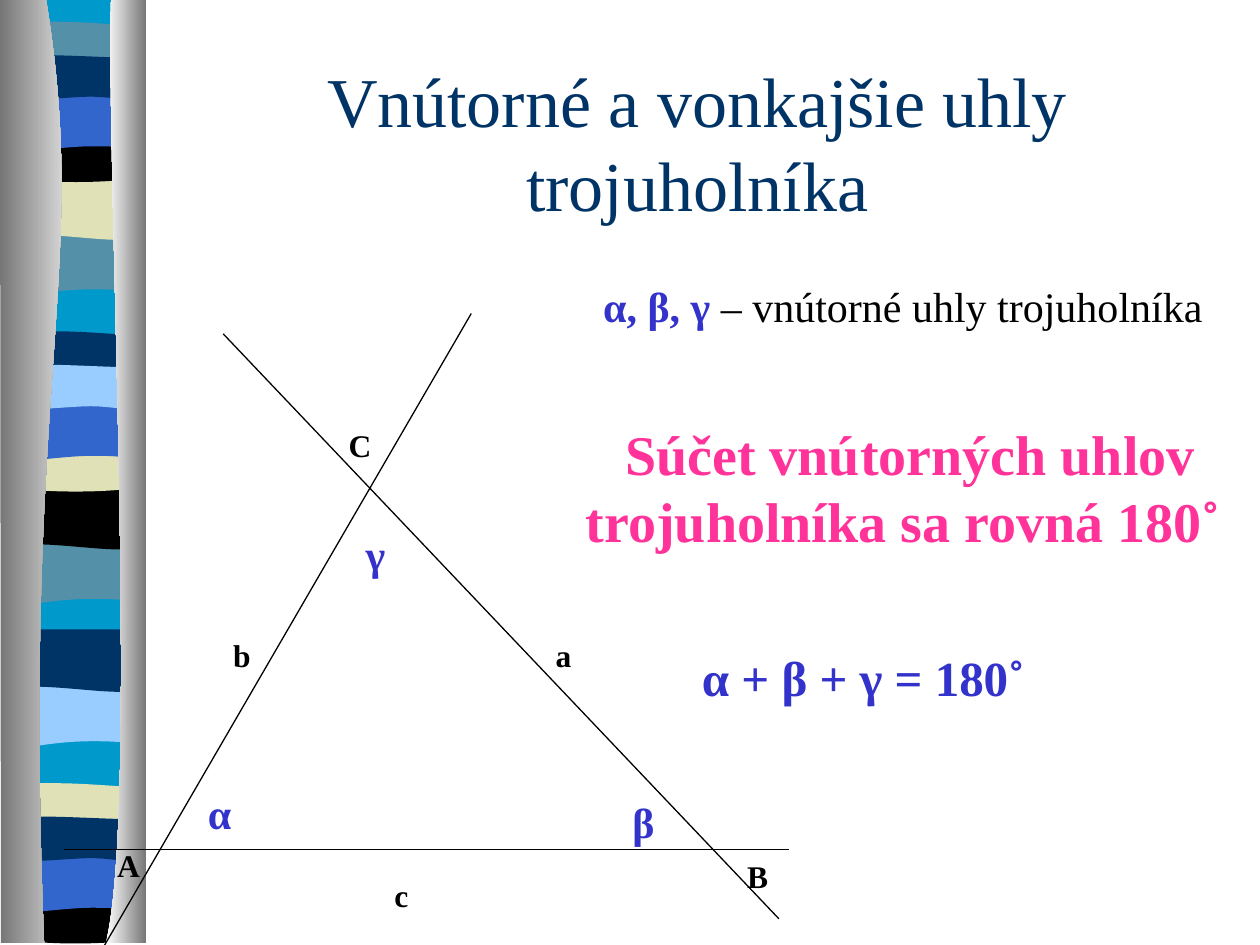
from lxml import etree
from pptx import Presentation
from pptx import util as u
from pptx.dml.color import RGBColor
from pptx.enum import shapes, text
from pptx.oxml.ns import qn

FONT = "Times New Roman"
COLORS = {
    "black": "000000", "navy": "003366", "teal": "5490A8", "sand": "E1E1B7",
    "blue": "3366CC", "sky": "99CCFF", "cyan": "0099CC", "angle": "3333CC",
    "pink": "FF3399", "gray": "767676", "white": "FFFFFF",
}

# Ribbon bands in cm: y of the first use, then the outline from that height:
# a pair is a corner, six numbers are a cubic curve.
LEFT, RIGHT = 0.15, 2.9
BANDS = {
    "long wave": (4.7, [(RIGHT, 0), (RIGHT, 1.19),
                        (0.99, 0.99, 0.61, 1.4, LEFT, 1.19), (LEFT, 0)]),
    "soft wave": (3.58, [(RIGHT, 0), (RIGHT, 1.19),
                         (2.44, 1.4, 0.99, 1.04, LEFT, 1.19), (LEFT, 0)]),
    "thin": (0.41, [(RIGHT, 0.13), (RIGHT, 0.74),
                    (2.44, 0.84, 0.61, 0.84, LEFT, 0.74), (LEFT, 0.13),
                    (0.3, 0, 0.74, 0.03, 1.19, 0.03),
                    (1.65, 0.03, 2.54, 0.1, RIGHT, 0.13)]),
    "bowl": (2.74, [(RIGHT, 0), (RIGHT, 0.81),
                    (2.44, 0.97, 0.61, 0.97, LEFT, 0.81), (LEFT, 0),
                    (1.83, 0.13, 2.31, 0, RIGHT, 0)]),
    "arch": (1.88, [(RIGHT, 0), (RIGHT, 1.19),
                    (2.46, 1.07, 2.29, 1.07, 1.83, 1.07),
                    (1.37, 1.07, 0.56, 1.19, LEFT, 1.19), (LEFT, 0)]),
    "double wave": (1.04, [(RIGHT, 0.13), (RIGHT, 0.91),
                           (2.72, 1.04, 2.29, 0.91, 1.83, 0.91),
                           (1.37, 0.91, 0.43, 1.04, LEFT, 0.91), (LEFT, 0.13),
                           (0.53, 0, 2.01, 0.13, RIGHT, 0.13)]),
}
# Each repeat of the motif: shift down, colour of each band
REPEATS = [
    (0, {"long wave": "teal", "soft wave": "sand", "thin": "teal",
         "bowl": "black", "arch": "blue", "double wave": "navy"}),
    (6.24, {"long wave": "teal", "soft wave": "black", "thin": "navy",
            "bowl": "sand", "arch": "blue", "double wave": "sky"}),
    (9.11, {"long wave": "sky", "soft wave": "navy"}),
    (15.35, {"thin": "sand", "bowl": "black", "arch": "blue", "double wave": "navy"}),
]
BOTTOM = 19.02
BACKDROP = [(RIGHT, 0), (RIGHT, 18.97), (LEFT, 18.97), (LEFT, 0)]
LEFT_COLUMN = [(0.93, 0), (1.83, 5.49, 0.43, 7.52, 0.89, BOTTOM), (0.02, BOTTOM), (0, 0)]
RIGHT_COLUMN = [(2.24, 0), (2.13, 3.18, 2.82, 16.41, 2.13, BOTTOM),
                (2.95, BOTTOM), (2.95, 0)]

TRIANGLE_LINES = [
    (1.3, 17.12, 15.9, 17.12),
    (9.5, 6.32, 2.11, 19.05),
    (4.5, 6.73, 15.7, 18.52),
]

# Runs (wording, colour, bold), size, left, top, width, height, centred
TITLE = ([("Vnútorné a vonkajšie uhly trojuholníka", "navy", False)],
         40, 3.26, 1.27, 21.59, 3.18, True)
STATEMENTS = [
    ([("α, β, γ", "angle", True), (" – vnútorné uhly trojuholníka", "black", False)],
     24, 11.91, 5.54, 12.6, 1.27, False),
    ([("α + β + γ = 180˚", "angle", True)], 28, 13.9, 12.93, 9.75, 1.45, False),
    ([("Súčet vnútorných uhlov trojuholníka sa rovná 180˚ ", "pink", True)],
     32, 11.3, 8.33, 14.1, 2.97, True),
]
# Wording, left, top
SIDE_AND_CORNER_LABELS = [
    ("A", 2.11, 16.94), ("B", 14.81, 17.15), ("C", 6.78, 8.46),
    ("a", 10.95, 12.7), ("b", 4.45, 12.7), ("c", 7.7, 17.53),
]
ANGLE_LABELS = [("α", 3.94, 15.75), ("β", 12.5, 15.93), ("γ", 7.12, 10.52)]


def rgb(name):
    return RGBColor.from_string(COLORS[name])


def bend(shape, segments):
    """Join each three corners that belong to a curve into one cubic curve."""
    corners = iter(list(shape._element.iter(qn("a:lnTo"))))
    for segment in segments:
        if len(segment) == 2:
            next(corners)
            continue
        controls = [next(corners) for _ in range(3)]
        curve = etree.Element(qn("a:cubicBezTo"))
        controls[0].addprevious(curve)
        for corner in controls:
            curve.append(corner[0])
            corner.getparent().remove(corner)


def add_outline(slide, outline, *fill, top=0):
    """Closed outline in one colour, or in two that blend from left to right."""
    start, *rest = [(u.Cm(segment[i]), u.Cm(segment[i + 1] + top))
                    for segment in outline for i in range(0, len(segment), 2)]
    builder = slide.shapes.build_freeform(*start)
    builder.add_line_segments(rest, close=True)
    shape = builder.convert_to_shape()
    bend(shape, outline[1:])
    shape.shadow.inherit = False
    shape.line.fill.background()
    if len(fill) == 1:
        shape.fill.solid()
        shape.fill.fore_color.rgb = rgb(fill[0])
    else:
        shape.fill.gradient()
        shape.fill.gradient_angle = 0
        for stop, name in zip(shape.fill.gradient_stops, fill):
            stop.color.rgb = rgb(name)


def add_ribbon(slide):
    add_outline(slide, BACKDROP, "cyan")
    for shift, colors in REPEATS:
        for name, color in colors.items():
            top, outline = BANDS[name]
            add_outline(slide, outline, color, top=top + shift)
    add_outline(slide, LEFT_COLUMN, "gray", "white")
    add_outline(slide, RIGHT_COLUMN, "white", "gray")


def add_line(slide, *ends):
    line = slide.shapes.add_connector(shapes.MSO_CONNECTOR.STRAIGHT, *map(u.Cm, ends))
    line.line.color.rgb = rgb("black")
    line.line.width = u.Pt(0.75)
    etree.SubElement(line._element.spPr, qn("a:effectLst"))


def add_text(slide, runs, size, left, top, width, height, centred=False):
    box = slide.shapes.add_textbox(*map(u.Cm, (left, top, width, height)))
    box.text_frame.word_wrap = True
    paragraph = box.text_frame.paragraphs[0]
    paragraph.alignment = text.PP_ALIGN.CENTER if centred else text.PP_ALIGN.LEFT
    for wording, color, bold in runs:
        run = paragraph.add_run()
        run.text = wording
        run.font.name = FONT
        run.font.size = u.Pt(size)
        run.font.bold = bold
        run.font.color.rgb = rgb(color)
    return box


def main():
    presentation = Presentation()
    presentation.slide_width, presentation.slide_height = u.Cm(25.4), u.Cm(19.05)
    slide = presentation.slides.add_slide(presentation.slide_layouts[6])
    add_ribbon(slide)
    title = add_text(slide, *TITLE)
    title.text_frame.vertical_anchor = text.MSO_ANCHOR.MIDDLE
    for ends in TRIANGLE_LINES:
        add_line(slide, *ends)
    for label, left, top in SIDE_AND_CORNER_LABELS:
        add_text(slide, [(label, "black", True)], 18, left, top, 1.1, 1.02)
    for label, left, top in ANGLE_LABELS:
        add_text(slide, [(label, "angle", True)], 24, left, top, 1.15, 1.27)
    for statement in STATEMENTS:
        add_text(slide, *statement)
    presentation.save("out.pptx")


if __name__ == "__main__":
    main()
